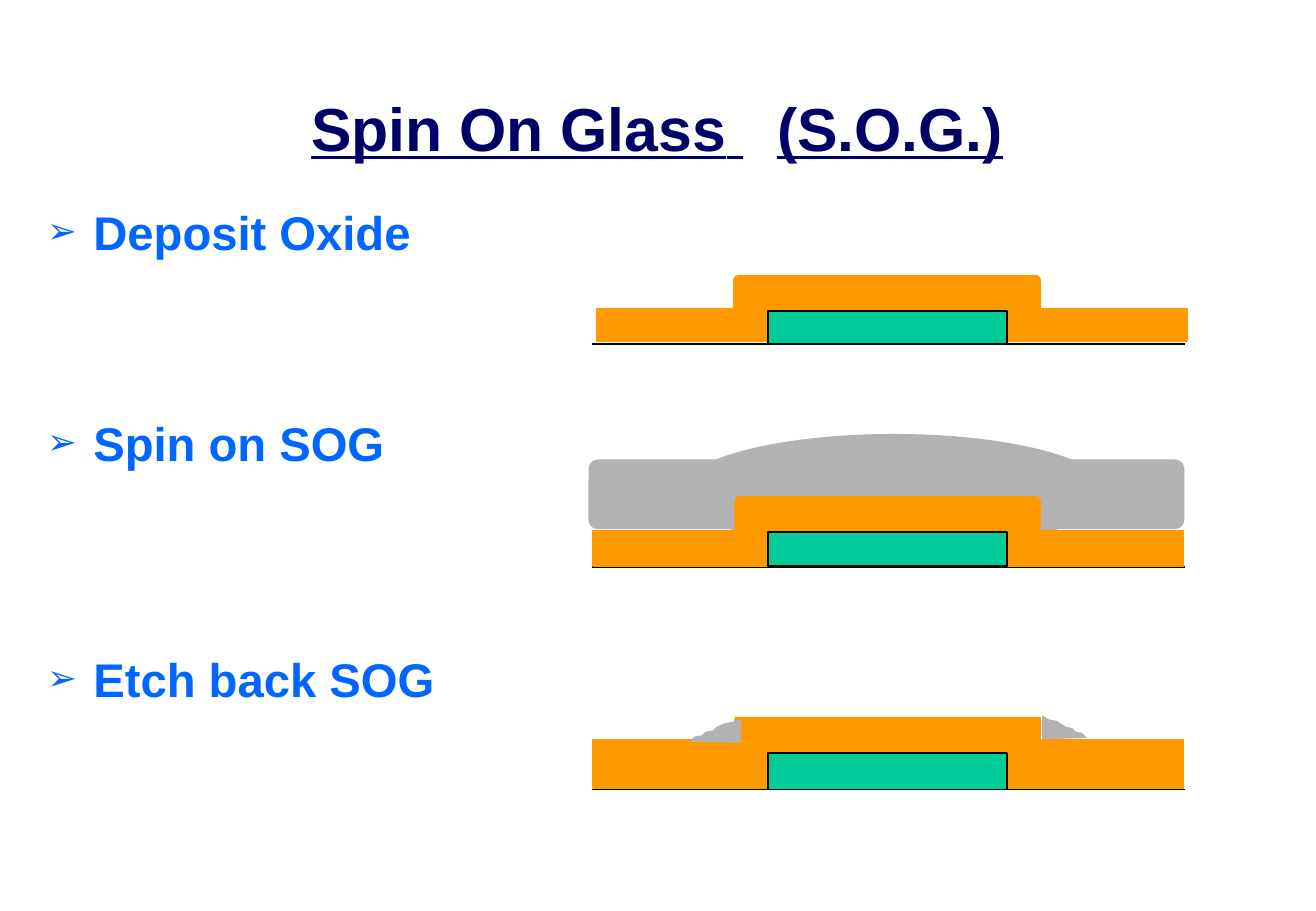
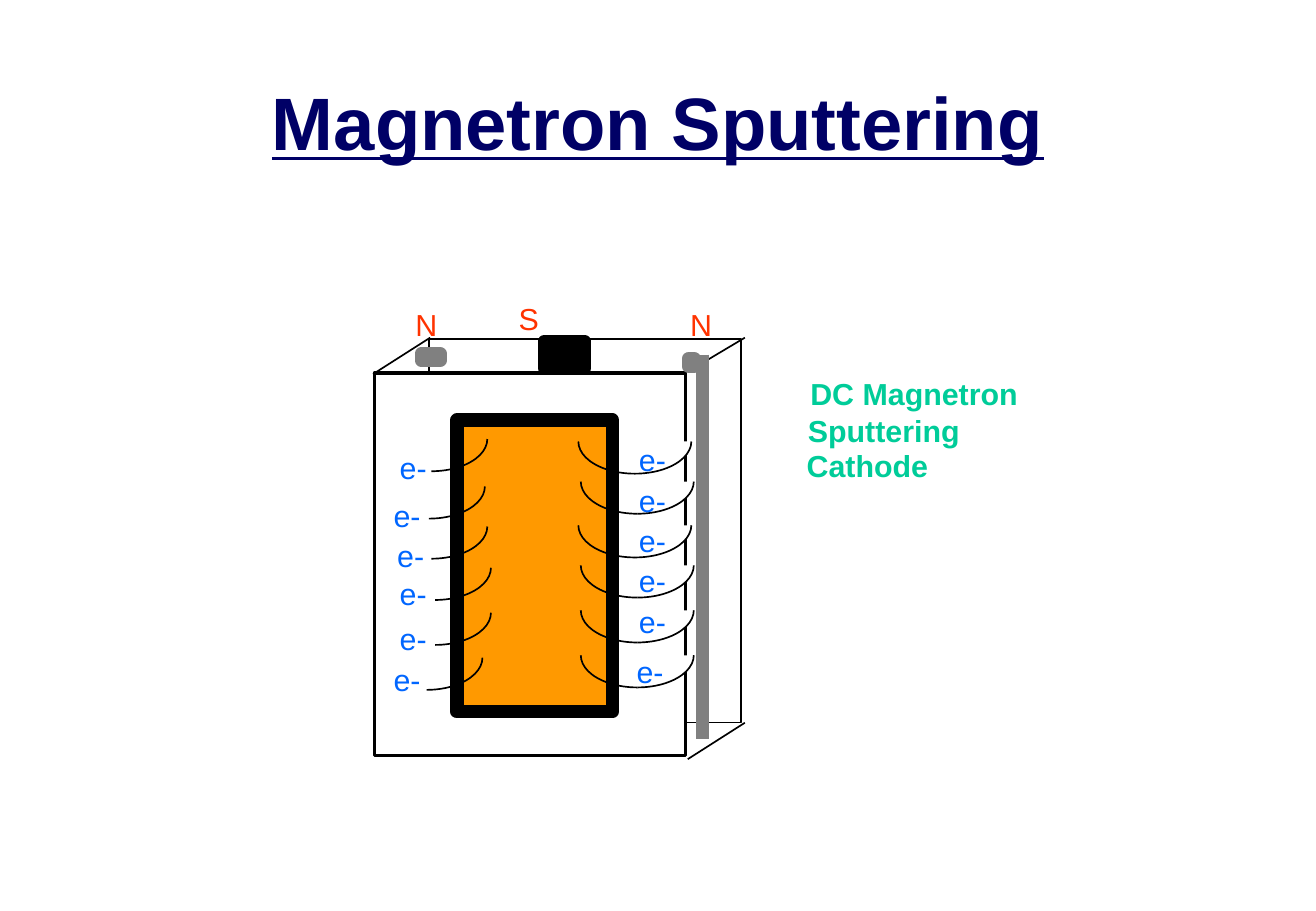
from lxml import etree
from pptx import Presentation
from pptx.dml.color import RGBColor
from pptx.enum.shapes import MSO_CONNECTOR, MSO_SHAPE
from pptx.enum.text import MSO_ANCHOR, PP_ALIGN
from pptx.oxml.ns import qn
from pptx.util import Inches, Pt

RECT, ROUND = MSO_SHAPE.RECTANGLE, MSO_SHAPE.ROUNDED_RECTANGLE
ELLIPSE, ARC = MSO_SHAPE.OVAL, MSO_SHAPE.ARC
STRAIGHT = MSO_CONNECTOR.STRAIGHT
LEFT, CENTER = PP_ALIGN.LEFT, PP_ALIGN.CENTER
TOP, MIDDLE = MSO_ANCHOR.TOP, MSO_ANCHOR.MIDDLE

NAVY = RGBColor(0x00, 0x00, 0x66)
BLUE = RGBColor(0x00, 0x66, 0xFF)
ORANGE = RGBColor(0xFF, 0x99, 0x00)
GREEN = RGBColor(0x00, 0xCC, 0x99)
SILVER = RGBColor(0xB2, 0xB2, 0xB2)
GRAY = RGBColor(0x80, 0x80, 0x80)
RED = RGBColor(0xFF, 0x33, 0x00)
BLACK = RGBColor(0, 0, 0)
WHITE = RGBColor(0xFF, 0xFF, 0xFF)
FONT = "Arial"

STEPS = [("Deposit Oxide", 0), ("Spin on SOG", 91.5), ("Etch back SOG", 106.5)]
STACKS = [
    {"step": (6.04, 2.27, 2.52, 0.31), "corner": 0.125, "base": 2.83,
     "oxide": (4.91, 2.54, 4.86, 0.27), "metal": (2.56, 0.27)},
    {"step": (6.05, 4.09, 2.51, 0.32), "corner": 0.125, "base": 4.67,
     "oxide": (4.88, 4.37, 4.86, 0.29), "metal": (4.38, 0.28)},
    {"step": (6.05, 5.91, 2.51, 0.34), "corner": 0.01, "base": 6.5,
     "oxide": (4.88, 6.09, 4.86, 0.4), "metal": (6.2, 0.3)},
]
SOG_RESIDUES = [
    [(6.09, 5.95), (6.09, 5.93), (6.03, 5.95), (5.97, 5.96), (5.9, 5.99), (5.87, 6.02),
     (5.81, 6.03), (5.78, 6.06), (5.72, 6.07), (5.69, 6.1), (6.09, 6.11)],
    [(8.58, 5.93), (8.58, 5.9), (8.63, 5.93), (8.69, 5.94), (8.74, 5.97), (8.77, 5.99),
     (8.82, 6), (8.85, 6.03), (8.9, 6.04), (8.93, 6.07), (8.58, 6.08)],
]

CUBE_EDGES = [(3.54, 2.78, 3.07, 3.08), (6.13, 2.78, 5.66, 3.06), (6.13, 5.95, 5.66, 6.25)]
LEFT_ARCS = [(3.09, 3.35), (3.07, 3.74), (3.09, 4.07), (3.12, 4.41), (3.12, 4.78), (3.05, 5.15)]
RIGHT_ARCS = [(4.76, 3.37), (4.78, 3.7), (4.76, 4.06), (4.78, 4.39), (4.78, 4.76), (4.78, 5.13)]
ELECTRONS = [
    (3.19, 3.65), (3.14, 4.04), (3.17, 4.37), (3.19, 4.69), (3.19, 5.06), (3.14, 5.39),
    (5.16, 3.58), (5.16, 3.92), (5.16, 4.25), (5.16, 4.58), (5.16, 4.92), (5.14, 5.33),
]
MAGNETS = [
    ((4.48, 2.81, 0.33, 0.22), BLACK),
    ((3.47, 2.91, 0.15, 0.06), GRAY),
    ((5.67, 2.95, 0.04, 0.07), GRAY),
]
POLES = [("N", 5.58, 2.47), ("S", 4.17, 2.42), ("N", 3.32, 2.47)]
CAPTION = [("DC Magnetron", 6.57, 3.04, 1.91), ("Sputtering", 6.55, 3.34, 1.45),
           ("Cathode", 6.54, 3.63, 1.2)]


def inches(values):
    return [Inches(v) for v in values]


def style(sp, fill, line, width):
    sp.shadow.inherit = False
    if fill is None:
        sp.fill.background()
    else:
        sp.fill.solid()
        sp.fill.fore_color.rgb = fill
    sp.line.color.rgb = line
    sp.line.width = Pt(width)


def add_shape(s, kind, at, fill=None, line=BLACK, width=1, adj=()):
    sp = s.shapes.add_shape(kind, *inches(at))
    for i, value in enumerate(adj):
        sp.adjustments[i] = value
    style(sp, fill, line, width)
    return sp


def add_line(s, ends, color=BLACK, width=1):
    c = s.shapes.add_connector(STRAIGHT, *inches(ends))
    c.line.color.rgb = color
    c.line.width = Pt(width)
    etree.SubElement(c._element.spPr, qn("a:effectLst"))


def add_outline(s, points, color):
    start, *rest = [inches(pt) for pt in points]
    fb = s.shapes.build_freeform(*start)
    fb.add_line_segments(rest, close=True)
    style(fb.convert_to_shape(), color, color, 1)


def set_bullet(p, char, color, percent, indent):
    pPr = p._p.get_or_add_pPr()
    pPr.set("marL", str(Inches(indent)))
    pPr.set("indent", str(-Inches(indent)))
    clr = etree.SubElement(pPr, qn("a:buClr"))
    etree.SubElement(clr, qn("a:srgbClr"), val=str(color))
    etree.SubElement(pPr, qn("a:buSzPct"), val=str(percent * 1000))
    etree.SubElement(pPr, qn("a:buFont"), typeface=FONT)
    etree.SubElement(pPr, qn("a:buChar"), char=char)


def add_text(s, paragraphs, at, size=18, color=BLUE, bold=False, underline=False,
             align=LEFT, anchor=TOP, wrap=False, bullet=None):
    tf = s.shapes.add_textbox(*inches(at)).text_frame
    tf.word_wrap = wrap
    tf.vertical_anchor = anchor
    for i, (runs, before) in enumerate(paragraphs):
        p = tf.paragraphs[0] if i == 0 else tf.add_paragraph()
        p.alignment = align
        if before:
            p.space_before = Pt(before)
        if bullet:
            set_bullet(p, bullet, color, 75, 0.38)
        for text, spacing in runs:
            r = p.add_run()
            r.text = text
            f = r.font
            f.name, f.size, f.bold, f.underline = FONT, Pt(size), bold, underline
            f.color.rgb = color
            if spacing:
                r._r.get_or_add_rPr().set("spc", str(spacing * 100))


def add_label(s, text, at, **fmt):
    add_text(s, [([(text, 0)], 0)], at, **fmt)


def add_title(s, runs, at, size):
    add_text(s, [(runs, 0)], at, size=size, color=NAVY, bold=True, underline=True,
             align=CENTER, anchor=MIDDLE, wrap=True)


def build_spin_on_glass(s):
    add_shape(s, ROUND, (4.85, 3.79, 4.89, 0.56), SILVER, SILVER, adj=[0.125])
    add_shape(s, ELLIPSE, (5.6, 3.58, 3.51, 0.94), SILVER, SILVER)
    add_title(s, [("Spin On Glass", 0), (" ", 20), ("(S.O.G.)", 0)], (0.81, 0.42, 9.2, 1.25), 36)
    for stack in STACKS:
        add_shape(s, ROUND, stack["step"], ORANGE, ORANGE, adj=[stack["corner"]])
        add_line(s, (4.87, stack["base"], 9.75, stack["base"]))
        add_shape(s, RECT, stack["oxide"], ORANGE, ORANGE)
        top, height = stack["metal"]
        add_shape(s, RECT, (6.32, top, 1.97, height), GREEN)
    for points in SOG_RESIDUES:
        add_outline(s, points, SILVER)
    add_text(s, [([(text, 0)], before) for text, before in STEPS], (0.29, 1.62, 4.51, 4.42),
             size=28, bold=True, wrap=True, bullet="➢")


def build_magnetron(s):
    add_shape(s, RECT, (3.53, 2.79, 2.57, 3.16))
    add_shape(s, RECT, (3.08, 3.07, 2.56, 3.15), WHITE, width=2)
    for ends in CUBE_EDGES:
        add_line(s, ends)
    add_shape(s, RECT, (3.76, 3.46, 1.28, 2.4), ORANGE, width=8)
    for x, y in LEFT_ARCS:
        add_shape(s, ARC, (x, y, 0.92, 0.53), adj=[0, 54])
    for x, y in RIGHT_ARCS:
        add_shape(s, ARC, (x, y, 0.93, 0.53), WHITE, adj=[0, 54])
        add_shape(s, ARC, (x, y, 0.93, 0.53), adj=[54, 108])
    for x, y in ELECTRONS:
        add_label(s, "e-", (x, y, 0.42, 0.4))
    add_line(s, (5.78, 2.92, 5.78, 6.08), GRAY, 8)
    for at, color in MAGNETS:
        add_shape(s, RECT, at, color, color, 8)
    for text, x, y in POLES:
        add_label(s, text, (x, y, 0.38, 0.4), color=RED)
    for text, x, y, w in CAPTION:
        add_label(s, text, (x, y, w, 0.4), color=GREEN, bold=True)
    add_title(s, [("Magnetron Sputtering", 0)], (0.45, 0.37, 9.93, 1.25), 44)


def main():
    prs = Presentation()
    prs.slide_width, prs.slide_height = Inches(10.83), Inches(7.5)
    for build in (build_spin_on_glass, build_magnetron):
        build(prs.slides.add_slide(prs.slide_layouts[6]))
    prs.save("out.pptx")


if __name__ == "__main__":
    main()
